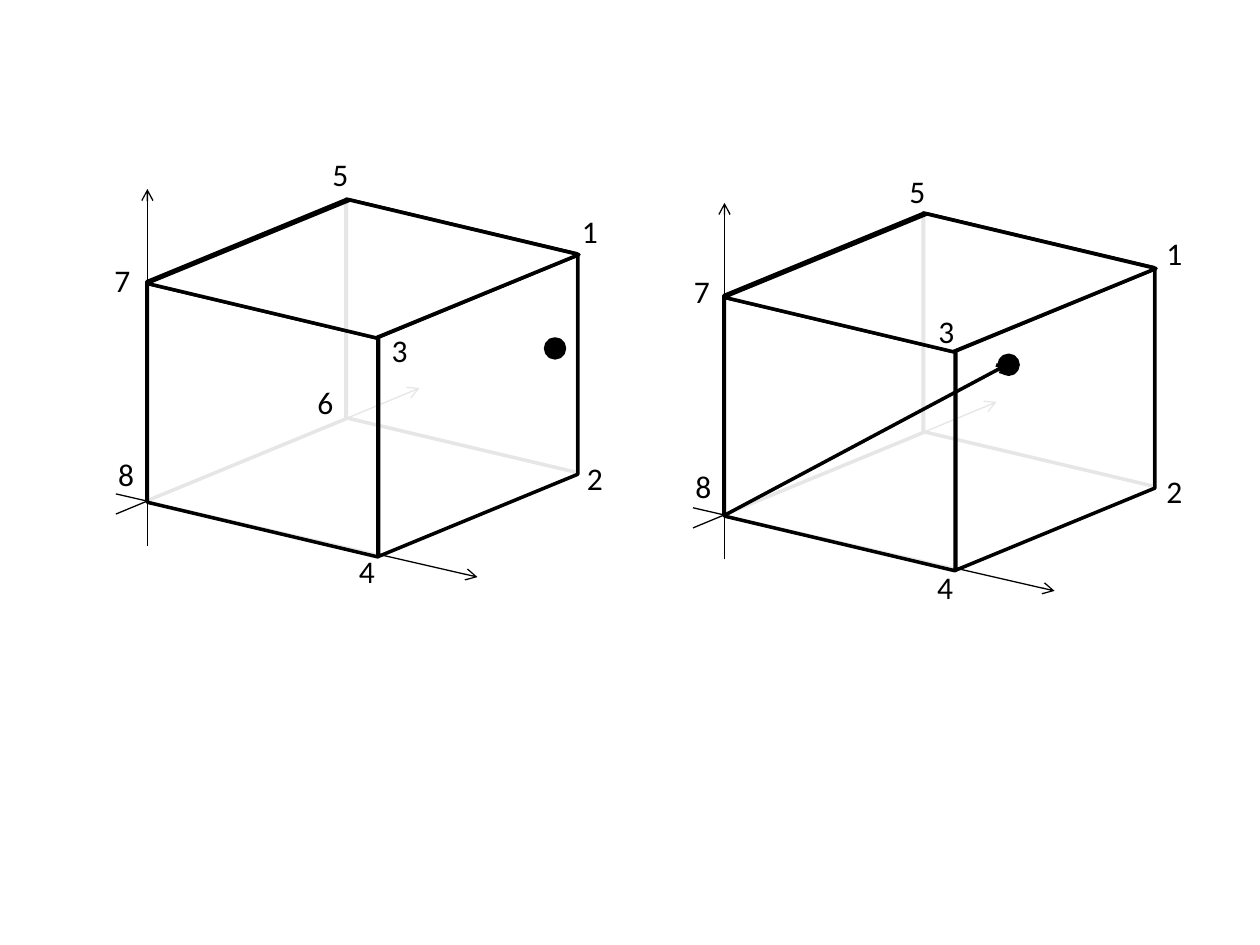
from lxml.etree import SubElement
from pptx import Presentation
from pptx.dml.color import RGBColor
from pptx.enum.shapes import MSO_CONNECTOR, MSO_SHAPE
from pptx.enum.text import MSO_AUTO_SIZE
from pptx.oxml.ns import qn
from pptx.util import Inches, Pt

COLORS = {"ink": "000000", "face": "FFFFFF"}
FONT = "Calibri"
THIN, THICK = 0.75, 2
LABEL_SIZE = (0.33, 0.4)
DOT_SIZE = 0.15

AXES = [
    ((0.92, 3.92), (3.79, 4.58)),
    ((1.17, 4.33), (1.17, 1.5)),
    ((0.92, 4.08), (3.33, 3.08)),
]

SLANTED = MSO_SHAPE.PARALLELOGRAM
UPRIGHT = MSO_SHAPE.FLOWCHART_DATA
FACES = [
    (SLANTED, (0.76, 1.99, 2.39, 1.58), 270, 0.412, 100),
    (UPRIGHT, (2.58, 1.75, 2.17, 1.83), 270, None, 0),
    (UPRIGHT, (1, 2.42, 2.17, 1.83), 270, None, 90),
    (SLANTED, (2.6, 2.43, 2.39, 1.58), 270, 0.412, 90),
    (SLANTED, (1.25, 1.59, 3.26, 1.09), 337.7, 1.393, 90),
]

CUBES = [
    {
        "offset": (0, 0),
        "vector": None,
        "dot": (4.33, 2.69),
        "labels": {
            "1": (4.52, 1.63), "2": (4.56, 3.59), "3": (3.01, 2.58), "4": (2.75, 4.33),
            "5": (2.54, 1.18), "6": (2.42, 2.99), "7": (0.81, 2.02), "8": (0.84, 3.56),
        },
    },
    {
        "offset": (4.58, 0.11),
        "vector": ((5.75, 4.09), (8, 2.89)),
        "dot": (7.93, 2.82),
        "labels": {
            "1": (9.16, 1.81), "2": (9.16, 3.7), "3": (7.35, 2.43), "4": (7.34, 4.46),
            "5": (7.12, 1.32), "7": (5.41, 2.11), "8": (5.42, 3.66),
        },
    },
]


def color(name):
    return RGBColor.from_string(COLORS[name])


def draw_outline(line, width):
    line.color.rgb = color("ink")
    line.width = Pt(width)


def add_arrow(slide, start, end, width):
    arrow = slide.shapes.add_connector(
        MSO_CONNECTOR.STRAIGHT, *(Inches(v) for v in (*start, *end)))
    draw_outline(arrow.line, width)
    SubElement(arrow.line._get_or_add_ln(), qn("a:tailEnd"), type="arrow")
    SubElement(arrow._element.spPr, qn("a:effectLst"))


def add_solid(slide, kind, box, fill, opacity=100):
    solid = slide.shapes.add_shape(kind, *(Inches(v) for v in box))
    solid.shadow.inherit = False
    draw_outline(solid.line, THICK)
    if opacity == 0:
        solid.fill.background()
        return solid
    solid.fill.solid()
    solid.fill.fore_color.rgb = color(fill)
    if opacity < 100:
        tint = solid._element.spPr.find(qn("a:solidFill"))[0]
        SubElement(tint, qn("a:alpha"), val=str(opacity * 1000))
    return solid


def add_face(slide, offset, kind, box, rotation, slant, opacity):
    left, top, width, height = box
    face = add_solid(slide, kind, (left + offset[0], top + offset[1], width, height),
                     "face", opacity)
    face.rotation = rotation
    if slant is not None:
        face.adjustments[0] = slant
        face._element.spPr.find(qn("a:xfrm")).set("flipH", "1")


def add_label(slide, number, position):
    label = slide.shapes.add_textbox(*(Inches(v) for v in (*position, *LABEL_SIZE)))
    frame = label.text_frame
    frame.word_wrap = False
    frame.auto_size = MSO_AUTO_SIZE.SHAPE_TO_FIT_TEXT
    paragraph = frame.paragraphs[0]
    paragraph.text = number
    paragraph.font.name = FONT
    paragraph.font.size = Pt(18)
    paragraph.font.color.rgb = color("ink")


def add_cube(slide, cube):
    dx, dy = cube["offset"]
    for (x1, y1), (x2, y2) in AXES:
        add_arrow(slide, (x1 + dx, y1 + dy), (x2 + dx, y2 + dy), THIN)
    for face in FACES:
        add_face(slide, cube["offset"], *face)
    if cube["vector"]:
        add_arrow(slide, *cube["vector"], THICK)
    add_solid(slide, MSO_SHAPE.OVAL, (*cube["dot"], DOT_SIZE, DOT_SIZE), "ink")
    for number, position in cube["labels"].items():
        add_label(slide, number, position)


def main():
    deck = Presentation()
    deck.slide_width, deck.slide_height = Inches(10), Inches(7.5)
    slide = deck.slides.add_slide(deck.slide_layouts[6])
    for cube in CUBES:
        add_cube(slide, cube)
    deck.save("out.pptx")


if __name__ == "__main__":
    main()
